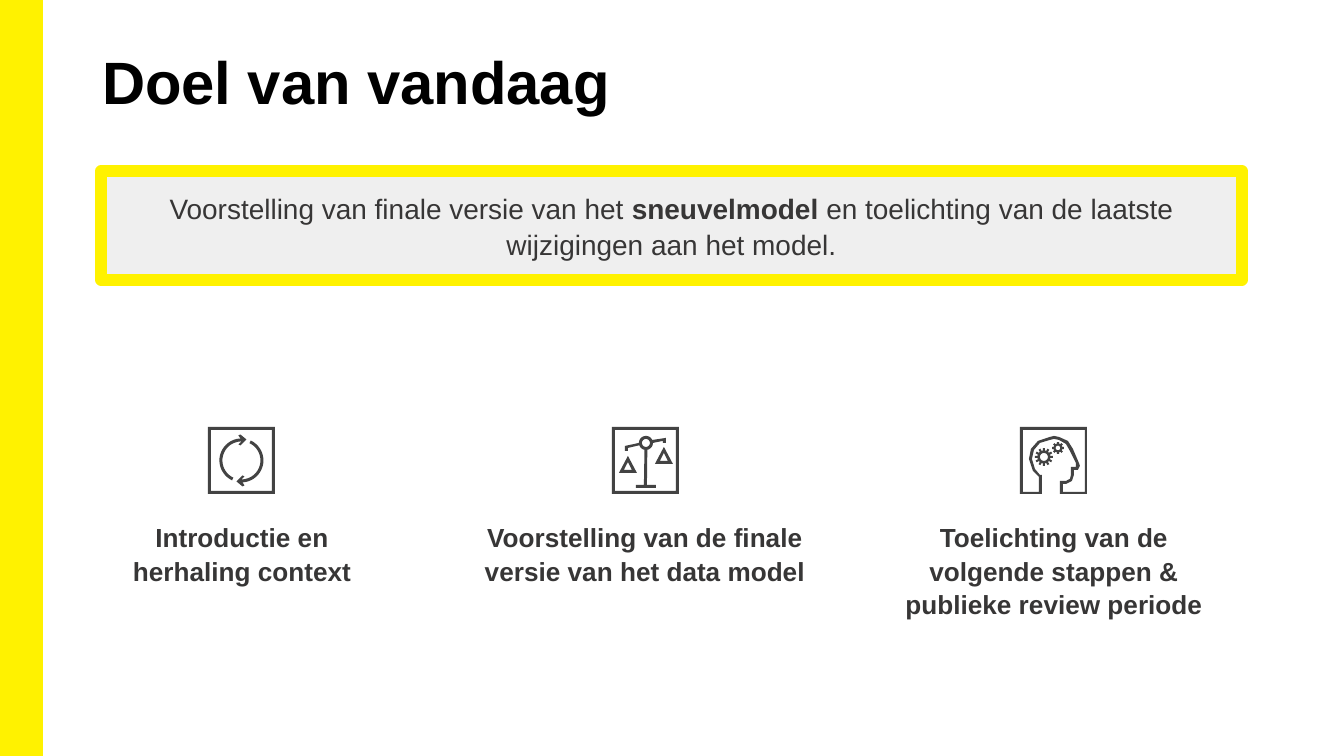
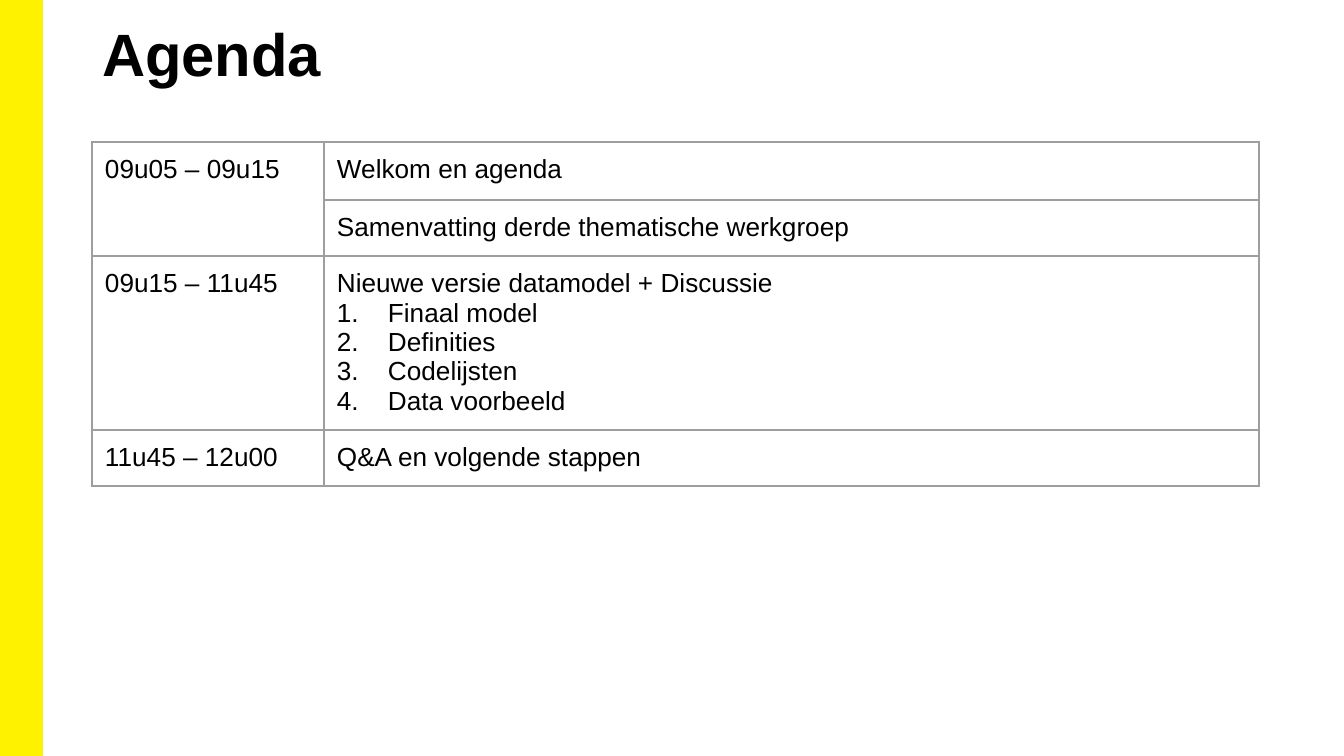
"""Build the goal and agenda slides of a workshop deck."""
from math import cos, pi, sin

from lxml.etree import SubElement
from pptx import Presentation
from pptx.dml.color import RGBColor
from pptx.enum.shapes import MSO_SHAPE as Preset
from pptx.enum.text import MSO_ANCHOR as Anchor, MSO_AUTO_SIZE as AutoSize, PP_ALIGN as Align
from pptx.oxml.ns import qn
from pptx.util import Pt

YELLOW = RGBColor(0xFF, 0xF2, 0x00)
PALE_GREY = RGBColor(0xEF, 0xEF, 0xEF)
BORDER_GREY = RGBColor(0x9E, 0x9E, 0x9E)
ICON_GREY = RGBColor(0x43, 0x43, 0x43)
TEXT_GREY = RGBColor(0x37, 0x36, 0x36)
BLACK = RGBColor(0, 0, 0)
FONT = "Arial"
WIDTH, HEIGHT = 1344, 756
SCALE = 9144000 / WIDTH
SUBPIXELS = 20
ICON_SIZE = 67


def px(length):
    return round(length * SCALE)


def arc(x, y, radius, start, end, steps=24):
    angles = [(start + (end - start) * i / steps) * pi / 180 for i in range(steps + 1)]
    return [(x + radius * cos(angle), y + radius * sin(angle)) for angle in angles]


def gear(x, y, radius, body, hole, teeth):
    step = 360 / teeth
    rim = []
    for tooth in range(teeth):
        middle = tooth * step
        rim += arc(x, y, radius, middle - step * 0.22, middle + step * 0.22, 1)
        rim += arc(x, y, body, middle + step * 0.3, middle + step * 0.7, 2)
    return [rim, arc(x, y, hole, 0, 360)]


def square(inset):
    far = ICON_SIZE - inset
    return [(inset, inset), (inset, far), (far, far), (far, inset)]


def cycle_icon():
    center = ICON_SIZE / 2
    chevron = [(-3, -16), (-1, -15), (5, -21), (-1, -26), (-3, -25), (-1, -22)]
    arrow = arc(0, 0, 19, 115, 270) + chevron + arc(0, 0, 22, 270, 115)
    turned = [[(center + sign * x, center + sign * y) for x, y in arrow] for sign in (1, -1)]
    return [[square(0), square(3)], [turned[0]], [turned[1]]]


def scales_icon():
    pan = [[(16, 29), (7, 46), (25, 46)], [(16, 35), (12, 43), (20, 43)]]
    raised_pan = [[(x + 36, y - 9) for x, y in contour] for contour in pan]
    balance = (
        [(16, 24), (16, 21)] + arc(34, 16, 7, 160, 102)
        + [(32, 58), (24, 58), (24, 61), (44, 61), (44, 58), (35, 58)] + arc(34, 16, 7, 78, 0)
        + [(51, 14), (51, 16), (54, 16), (54, 11)] + arc(34, 16, 7, -25, -180)
        + [(13, 19), (13, 24)]
    )
    return [[square(0), square(3), *pan, *raised_pan, balance, arc(34, 16, 4, 0, 360)]]


def thinking_icon():
    outside = [
        (0, 0), (0, 67), (22, 67), (22, 48), (20, 48), (15, 42), (12, 32), (14, 23), (20, 16),
        (30, 13), (34, 12), (39, 13), (46, 17), (50, 24), (56, 36), (56, 40), (51, 40), (51, 48),
        (50, 52), (46, 54), (40, 54), (40, 67), (67, 67), (67, 0),
    ]
    inside = [
        (65, 65), (43, 65), (43, 57), (46, 57), (52, 54), (54, 48), (54, 43), (58, 43), (60, 39),
        (59, 36), (53, 22), (48, 14), (39, 10), (34, 9), (30, 10), (18, 14), (11, 22), (9, 32),
        (13, 44), (19, 50), (19, 65), (3, 65), (3, 3), (65, 3),
    ]
    return [[outside, inside], gear(24, 30, 9, 6.5, 4, 12), gear(38, 21, 6, 4.4, 2.3, 8)]


class Deck:
    """Holds the style and the current slide."""

    def __init__(self):
        self.presentation = Presentation()
        self.presentation.slide_width = px(WIDTH)
        self.presentation.slide_height = px(HEIGHT)
        self.slide = None

    def add_slide(self, title, top):
        layout = self.presentation.slide_layouts[5]
        self.slide = self.presentation.slides.add_slide(layout)
        self.box(0, 0, 42, HEIGHT, YELLOW, 1)
        shape = self.slide.shapes.title
        shape.left, shape.top, shape.width, shape.height = px(93), px(top), px(1158), px(109)
        frame = shape.text_frame
        frame.auto_size = AutoSize.NONE
        frame.vertical_anchor = Anchor.TOP
        frame.margin_left = frame.margin_right = px(9)
        frame.margin_top = frame.margin_bottom = px(5)
        frame.text = title
        self.format(frame.paragraphs[0], 32, BLACK, bold=True, align=Align.LEFT)

    def format(self, paragraph, size, color, bold=False, align=None, spacing=None):
        paragraph.alignment = align
        paragraph.line_spacing = spacing
        font = paragraph.font
        font.name, font.size, font.bold = FONT, Pt(size), bold
        font.color.rgb = color

    def box(self, left, top, width, height, fill, line_width):
        shape = self.slide.shapes.add_shape(
            Preset.RECTANGLE, px(left), px(top), px(width), px(height))
        shape.shadow.inherit = False
        shape.fill.solid()
        shape.fill.fore_color.rgb = fill
        shape.line.color.rgb = YELLOW
        shape.line.width = Pt(line_width)
        return shape

    def statement(self, left, top, width, height, runs):
        frame = self.box(left, top, width, height, PALE_GREY, 6).text_frame
        frame.word_wrap = True
        frame.vertical_anchor = Anchor.MIDDLE
        paragraph = frame.paragraphs[0]
        self.format(paragraph, 15, TEXT_GREY, align=Align.CENTER, spacing=1.07)
        for text, bold in runs:
            run = paragraph.add_run()
            run.text = text
            run.font.bold = bold

    def outline(self, shapes, left, top, contours):
        moved = [[((left + x) * SUBPIXELS, (top + y) * SUBPIXELS) for x, y in contour]
                 for contour in contours]
        builder = shapes.build_freeform(*moved[0][0], scale=SCALE / SUBPIXELS)
        builder.add_line_segments(moved[0][1:], close=True)
        for contour in moved[1:]:
            builder.move_to(*contour[0])
            builder.add_line_segments(contour[1:], close=True)
        shape = builder.convert_to_shape()
        shape.shadow.inherit = False
        shape.fill.solid()
        shape.fill.fore_color.rgb = ICON_GREY
        shape.line.fill.background()

    def topic(self, icon, icon_left, left, width, caption):
        shapes = self.slide.shapes.add_group_shape().shapes
        for contours in icon:
            self.outline(shapes, icon_left, 427, contours)
        frame = shapes.add_textbox(px(left), px(513), px(width), px(172)).text_frame
        frame.word_wrap = True
        frame.text = caption
        self.format(frame.paragraphs[0], 14, TEXT_GREY, True, Align.CENTER, 1.07)

    def number(self, paragraph):
        properties = paragraph._p.get_or_add_pPr()
        properties.set("marL", str(px(51)))
        properties.set("indent", str(-px(51)))
        SubElement(properties, qn("a:buAutoNum"), type="arabicPeriod")

    def border(self, cell):
        properties = cell._tc.get_or_add_tcPr()
        for side in ("a:lnL", "a:lnR", "a:lnT", "a:lnB"):
            line = SubElement(properties, qn(side), w=str(Pt(0.75)))
            fill = SubElement(line, qn("a:solidFill"))
            SubElement(fill, qn("a:srgbClr"), val=str(BORDER_GREY))

    def table(self, left, top, widths, heights, rows):
        table = self.slide.shapes.add_table(
            len(heights), len(widths), px(left), px(top), px(sum(widths)), px(sum(heights))).table
        table.first_row = table.horz_banding = False
        for column, width in zip(table.columns, widths):
            column.width = px(width)
        for row, height, texts in zip(table.rows, heights, rows):
            row.height = px(height)
            for cell, lines in zip(row.cells, texts):
                self.border(cell)
                cell.fill.background()
                cell.margin_left = cell.margin_right = px(13)
                cell.margin_top = cell.margin_bottom = px(13)
                cell.text = "\n".join(lines)
                for index, paragraph in enumerate(cell.text_frame.paragraphs):
                    if index:
                        self.number(paragraph)
                    self.format(paragraph, 14, BLACK)
        return table


def main():
    deck = Deck()

    deck.add_slide("Doel van vandaag", 40)
    deck.statement(101, 171, 1141, 109, [
        ("Voorstelling van finale versie van het ", False),
        ("sneuvelmodel ", True),
        ("en toelichting van de laatste wijzigingen aan het model.", False),
    ])
    deck.topic(cycle_icon(), 208, 59, 366, "Introductie en\vherhaling context")
    deck.topic(scales_icon(), 612, 457, 376,
               "Voorstelling van de finale versie van het data model")
    deck.topic(thinking_icon(), 1020, 866, 376,
               "Toelichting van de volgende stappen & publieke review periode")

    deck.add_slide("Agenda", 12)
    agenda = deck.table(92, 142, [232, 935], [58, 56, 174, 56], [
        (["09u05 – 09u15"], ["Welkom en agenda"]),
        ([], ["Samenvatting derde thematische werkgroep"]),
        (["09u15 – 11u45"], ["Nieuwe versie datamodel + Discussie", "Finaal model", "Definities",
                             "Codelijsten", "Data voorbeeld"]),
        (["11u45 – 12u00"], ["Q&A en volgende stappen"]),
    ])
    agenda.cell(0, 0).merge(agenda.cell(1, 0))

    deck.presentation.save("out.pptx")


if __name__ == "__main__":
    main()
